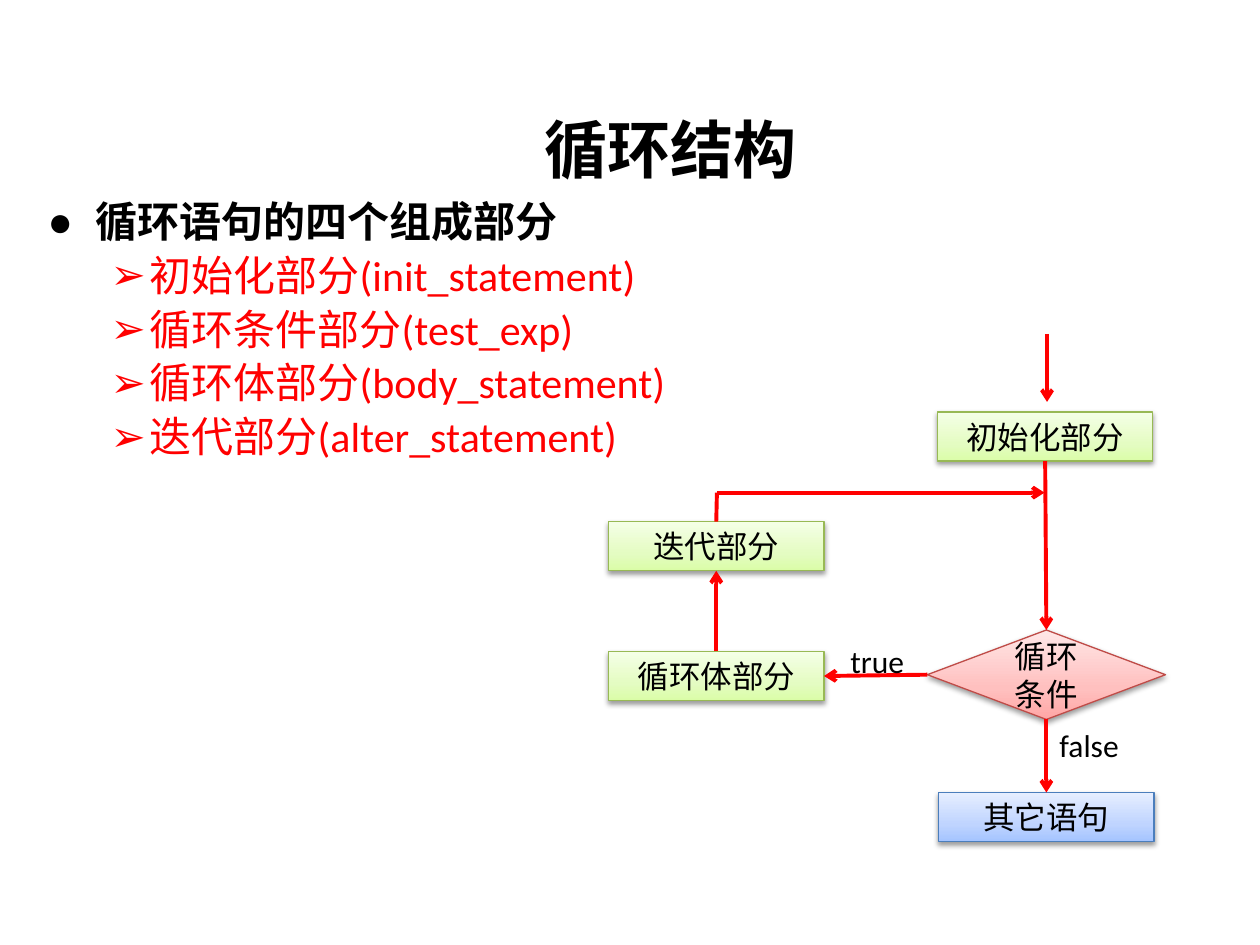
from copy import deepcopy
from lxml.etree import SubElement
from pptx import Presentation
from pptx.dml.color import RGBColor
from pptx.enum.shapes import MSO_CONNECTOR, MSO_SHAPE
from pptx.enum.text import MSO_ANCHOR, MSO_AUTO_SIZE, PP_ALIGN
from pptx.oxml.ns import qn
from pptx.util import Inches, Pt

HUES = {"ink": "000000", "red": "FF0000"}
# Gradient stops from bottom to top, then the outline
FILLS = {
    "green": ("DAFDA7", "E4FCC2", "F5FFE7", "98B955"),
    "pink": ("FFA6A5", "FFC0BF", "FFE7E7", "BF4C48"),
    "blue": ("A4C4FF", "BFD4FF", "E6EEFF", "4B7EBC"),
}
STOPS = (0, 0.35, 1)
LATIN, HAN = "Calibri", "Noto Sans CJK SC"
TOP, LEFT, BOTTOM, RIGHT = range(4)


def add(node, tag, **attrs):
    return SubElement(node, qn(tag), {k: str(v) for k, v in attrs.items()})


def write(para, text, size=18, font=LATIN, hue="ink", bold=False, align=None):
    run = para.add_run()
    run.text = text
    run.font.size = Pt(size)
    run.font.name = font
    run.font.bold = bold
    run.font.color.rgb = RGBColor.from_string(HUES[hue])
    add(run.font._element, "a:ea", typeface=HAN)
    para.alignment = align


def mark(para, char, font, left, hang, gap):
    """Give a paragraph a bullet, a hanging indent and a gap in percent above."""
    para.line_spacing = 0.9
    props = para._p.get_or_add_pPr()
    props.set("marL", str(Inches(left)))
    props.set("indent", str(-Inches(hang)))
    add(add(props, "a:spcBef"), "a:spcPct", val=gap * 1000)
    add(props, "a:buFont", typeface=font)
    add(props, "a:buChar", char=char)


class Canvas:
    def __init__(self, slide):
        self.shapes = slide.shapes

    def text(self, x, y, w, h, anchor=MSO_ANCHOR.TOP, grow=False):
        frame = self.shapes.add_textbox(*map(Inches, (x, y, w, h))).text_frame
        frame.word_wrap = True
        frame.vertical_anchor = anchor
        if grow:
            frame.auto_size = MSO_AUTO_SIZE.SHAPE_TO_FIT_TEXT
        return frame

    def label(self, text, x, y):
        write(self.text(x, y, 0.79, 0.4, grow=True).paragraphs[0], text)

    def node(self, text, x, y, w=1.71, h=0.39, fill="green",
             kind=MSO_SHAPE.RECTANGLE):
        shape = self.shapes.add_shape(kind, *map(Inches, (x, y, w, h)))
        *hues, edge = FILLS[fill]
        self.shade(shape, hues)
        shape.line.color.rgb = RGBColor.from_string(edge)
        shape.line.width = Pt(0.75)
        self.shadow(shape)
        frame = shape.text_frame
        frame.word_wrap = True
        frame.vertical_anchor = MSO_ANCHOR.MIDDLE
        write(frame.paragraphs[0], text, font=HAN, align=PP_ALIGN.CENTER)
        return shape

    def shade(self, shape, hues):
        shape.fill.gradient()
        shape.fill.gradient_angle = 90
        stops = shape._element.spPr.find(qn("a:gradFill")).find(qn("a:gsLst"))
        stops.append(deepcopy(stops[0]))
        for stop, place, hue in zip(shape.fill.gradient_stops, STOPS, hues):
            stop.position = place
            stop.color.rgb = RGBColor.from_string(hue)

    def shadow(self, shape):
        shape.shadow.inherit = False
        effects = shape._element.spPr.find(qn("a:effectLst"))
        outer = add(effects, "a:outerShdw", blurRad=Pt(3.1), dist=Pt(1.6),
                    dir=90 * 60000, rotWithShape=0)
        color = add(outer, "a:srgbClr", val=HUES["ink"])
        add(color, "a:alpha", val=38000)

    def link(self, start, end, head=True):
        """Draw a line; each end is a point (x, y) or a joint (shape, side)."""
        line = self.shapes.add_connector(MSO_CONNECTOR.STRAIGHT, 0, 0, 0, 0)
        if hasattr(start[0], "shape_id"):
            line.begin_connect(*start)
        else:
            line.begin_x, line.begin_y = map(Inches, start)
        if hasattr(end[0], "shape_id"):
            line.end_connect(*end)
        else:
            line.end_x, line.end_y = map(Inches, end)
        line.line.color.rgb = RGBColor.from_string(HUES["red"])
        line.line.width = Pt(2.25)
        props = line._element.spPr
        if head:
            add(props.find(qn("a:ln")), "a:tailEnd", type="arrow")
        add(props, "a:effectLst")


def main():
    deck = Presentation()
    deck.slide_width, deck.slide_height = Inches(10), Inches(7.5)
    canvas = Canvas(deck.slides.add_slide(deck.slide_layouts[6]))

    title = canvas.text(3.35, 0.68, 3.94, 1, MSO_ANCHOR.MIDDLE)
    write(title.paragraphs[0], "循环结构", size=36, bold=True,
          align=PP_ALIGN.CENTER)

    body = canvas.text(0.28, 1.55, 8.82, 5.59)
    lead = body.paragraphs[0]
    write(lead, "循环语句的四个组成部分", size=24, bold=True)
    mark(lead, "●", "Arial", 0.38, 0.38, 50)
    for part in ("初始化部分(init_statement)", "循环条件部分(test_exp)",
                 "循环体部分(body_statement)", "迭代部分(alter_statement)"):
        para = body.add_paragraph()
        para.level = 1
        write(para, part, size=24, hue="red")
        mark(para, "➢", "Arial", 0.81, 0.31, 20)

    test = canvas.node("循环条件", 7.36, 5, 1.89, 0.71, fill="pink",
                       kind=MSO_SHAPE.FLOWCHART_DECISION)
    init = canvas.node("初始化部分", 7.44, 3.27)
    loop = canvas.node("循环体部分", 4.83, 5.17)
    step = canvas.node("迭代部分", 4.83, 4.14)
    rest = canvas.node("其它语句", 7.45, 6.29, fill="blue")

    canvas.link((8.31, 2.65), (8.31, 3.19))
    canvas.link((init, BOTTOM), (test, TOP))
    canvas.link((test, BOTTOM), (rest, TOP))
    canvas.link((test, LEFT), (loop, RIGHT))
    canvas.link((loop, TOP), (step, BOTTOM))
    canvas.label("true", 6.65, 5.05)
    canvas.label("false", 8.31, 5.71)
    bend = (5.69, 3.91)
    canvas.link((step, TOP), bend, head=False)
    canvas.link(bend, (8.29, 3.91))

    deck.save("out.pptx")


if __name__ == "__main__":
    main()
